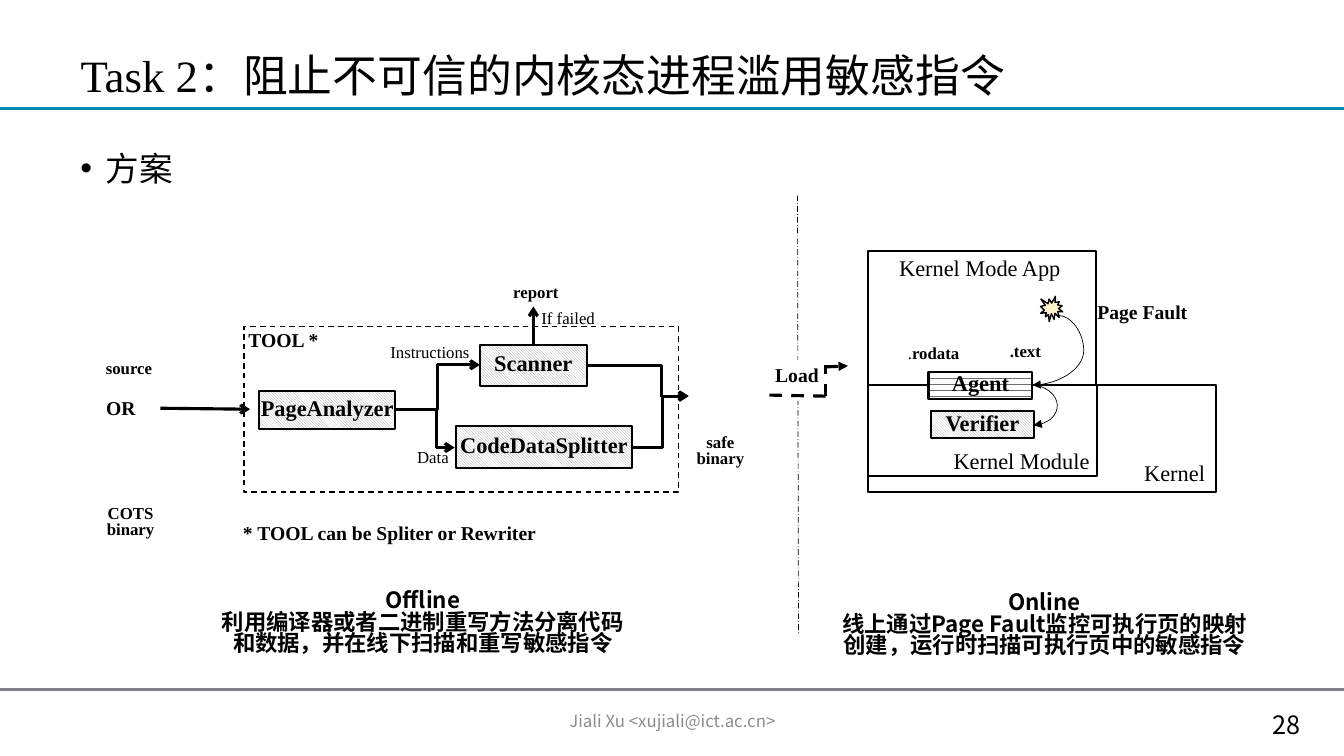
from lxml import etree
from pptx import Presentation
from pptx.dml.color import RGBColor
from pptx.enum.dml import MSO_LINE, MSO_PATTERN
from pptx.enum.shapes import MSO_CONNECTOR, MSO_SHAPE
from pptx.enum.text import MSO_ANCHOR, PP_ALIGN
from pptx.oxml.ns import qn
from pptx.util import Inches, Pt

LEFT, CENTER = PP_ALIGN.LEFT, PP_ALIGN.CENTER
TOP, MIDDLE = MSO_ANCHOR.TOP, MSO_ANCHOR.MIDDLE
STRAIGHT, ELBOW, CURVE = MSO_CONNECTOR.STRAIGHT, MSO_CONNECTOR.ELBOW, MSO_CONNECTOR.CURVE
DASH, DASH_DOT = MSO_LINE.DASH, MSO_LINE.LONG_DASH_DOT
DIAGONAL, DASHES = MSO_PATTERN.LIGHT_DOWNWARD_DIAGONAL, MSO_PATTERN.DASHED_HORIZONTAL
RECTANGLE, BURST = MSO_SHAPE.RECTANGLE, MSO_SHAPE.EXPLOSION1
SERIF, SANS = "Times New Roman", "Noto Sans CJK SC"
BLACK, WHITE = "000000", "FFFFFF"
rgb = RGBColor.from_string

prs = Presentation()
prs.slide_width, prs.slide_height = Inches(13.33), Inches(7.5)
slide = prs.slides.add_slide(prs.slide_layouts[6])
shapes = slide.shapes


def write(shape, text, size=12, bold=False, font=SERIF, color=BLACK, align=CENTER,
          anchor=TOP, spacing=0.8, wrap=True, bullet=None, lead=""):
    """Fill a shape with text, one paragraph a line; lead is an unbolded start."""
    frame = shape.text_frame
    frame.word_wrap, frame.vertical_anchor = wrap, anchor
    for i, line in enumerate(text.split("\n")):
        paragraph = frame.add_paragraph() if i else frame.paragraphs[0]
        paragraph.alignment, paragraph.line_spacing = align, spacing
        if bullet:
            pPr = paragraph._p.get_or_add_pPr()
            pPr.set("marL", str(Inches(0.25)))
            pPr.set("indent", str(-Inches(0.25)))
            etree.SubElement(pPr, qn("a:buFont"), typeface="Arial")
            etree.SubElement(pPr, qn("a:buChar"), char=bullet)
        for part, heavy in ((lead, False), (line, bold)):
            if part:
                run = paragraph.add_run()
                run.text = part
                run.font.size, run.font.bold, run.font.name = Pt(size), heavy, font
                run.font.color.rgb = rgb(color)
                etree.SubElement(run._r.get_or_add_rPr(), qn("a:ea"), typeface=SANS)


def link(kind, start, end, color=BLACK, width=2.25, dash=None, head=None, bend=None):
    """Draw a line or connector; bend is the turn as a share of its width."""
    connector = shapes.add_connector(kind, *map(Inches, start + end))
    connector.line.color.rgb, connector.line.width = rgb(color), Pt(width)
    if dash:
        connector.line.dash_style = dash
    spPr = connector._element.spPr
    if head:
        etree.SubElement(spPr.find(qn("a:ln")), qn("a:tailEnd"), type=head)
    if bend is not None:
        guides = spPr.find(qn("a:prstGeom")).get_or_add_avLst()
        etree.SubElement(guides, qn("a:gd"), name="adj1", fmla=f"val {round(bend * 100000)}")
    etree.SubElement(spPr, qn("a:effectLst"))
    return connector


# Page rules and the divider between the offline and online halves
link(STRAIGHT, (0, 6.84), (13.33, 6.84), color="808184")
link(STRAIGHT, (0, 1.08), (13.33, 1.08), color="008FB2")
link(STRAIGHT, (7.91, 1.94), (7.92, 6.3), width=0.5, dash=DASH_DOT)

# Frames: box, fill, line colour, line width, dash
frames = [
    ((2.42, 3.24, 4.31, 1.64), None, BLACK, 1, DASH),     # tool
    ((8.61, 3.82, 3.45, 1.06), WHITE, BLACK, 1.5, None),  # kernel
    ((8.61, 3.82, 2.27, 0.9), None, BLACK, 1.5, None),    # kernel module
    ((8.61, 2.49, 2.26, 1.33), WHITE, BLACK, 1.5, None),  # kernel mode app
    ((7.55, 3.62, 0.72, 0.35), WHITE, WHITE, 0.75, None),  # gap in the divider
    ((7.59, 3.58, 0.66, 0.31), WHITE, WHITE, 0.75, None),  # load
]
for box, fill, outline, width, dash in frames:
    frame = shapes.add_shape(RECTANGLE, *map(Inches, box))
    frame.shadow.inherit = False
    if fill:
        frame.fill.solid()
        frame.fill.fore_color.rgb = rgb(fill)
    else:
        frame.fill.background()
    frame.line.color.rgb, frame.line.width = rgb(outline), Pt(width)
    if dash:
        frame.line.dash_style = dash
write(frame, "Load", size=14, bold=True, align=LEFT, spacing=0.9)

# Components
components = {
    "PageAnalyzer": (2.57, 3.88, 1.35, 0.38),
    "Scanner": (4.76, 3.42, 1.06, 0.41),
    "CodeDataSplitter": (4.52, 4.23, 1.75, 0.41),
    "Verifier": (9.23, 4.08, 1.03, 0.27),
    "Agent": (9.21, 3.69, 1.03, 0.27),
}
nodes = {}
for name, box in components.items():
    node = nodes[name] = shapes.add_shape(RECTANGLE, *map(Inches, box))
    node.shadow.inherit = False
    node.fill.patterned()
    node.fill.pattern = DASHES if name == "Agent" else DIAGONAL
    node.fill.fore_color.rgb = rgb("6E6E6E" if name == "Agent" else "9E9E9E")
    node.fill.back_color.rgb = rgb(WHITE)
    node.line.color.rgb, node.line.width = rgb(BLACK), Pt(1.5)
    inside = node.text_frame
    inside.margin_left = inside.margin_right = inside.margin_top = inside.margin_bottom = 0
    write(node, name, size=16, bold=True, anchor=MIDDLE)

# Flow through the tool
link(STRAIGHT, (1.59, 4.05), (2.48, 4.06), head="arrow")
for start, end, bend in [
    ((3.92, 4.06), (4.76, 3.62), 0.5),
    ((3.91, 4.06), (4.51, 4.44), 0.7),
    ((6.28, 4.44), (6.83, 3.93), 0.53),
    ((5.81, 3.63), (6.83, 3.93), 0.74),
]:
    link(ELBOW, start, end, head="arrow", bend=bend)
report = link(STRAIGHT, (5.29, 3.42), (5.29, 3.04), head="arrow")
report.begin_connect(nodes["Scanner"], 0)

# Loading step
link(STRAIGHT, (7.63, 3.92), (8.19, 3.93), dash=DASH)
link(STRAIGHT, (8.19, 3.93), (8.19, 3.62), dash=DASH)
link(STRAIGHT, (8.19, 3.64), (8.41, 3.63), dash=DASH, head="triangle")

# Page fault path
link(CURVE, (10.5, 3.13), (10.24, 3.82), width=0.5, head="triangle", bend=-0.96)
link(CURVE, (10.24, 3.82), (10.25, 4.22), width=0.5, head="triangle", bend=25)
fault = shapes.add_shape(BURST, *map(Inches, (10.32, 2.94, 0.22, 0.25)))
fault.shadow.inherit = False
fault.fill.solid()
fault.fill.fore_color.rgb = rgb("FFF3CD")
fault.line.color.rgb, fault.line.width = rgb(BLACK), Pt(1)

# Text: box, words, format
note = dict(size=14, bold=True)
place = dict(size=16, align=LEFT, spacing=0.9)
caption = dict(size=16, bold=True, font=SANS)
labels = [
    ((0.7, 0.15, 11.05, 0.91), "Task 2：阻止不可信的内核态进程滥用敏感指令",
     dict(size=32, align=LEFT, anchor=MIDDLE, spacing=1.5)),
    ((0.7, 1.46, 12.13, 5.13), "方案", dict(size=24, align=LEFT, spacing=0.9, bullet="•")),
    ((12.52, 6.99, 0.55, 0.4), "28", dict(size=18, font=SANS, align=LEFT, spacing=1.0)),
    ((4.42, 6.95, 4.5, 0.4), "Jiali Xu <xujiali@ict.ac.cn>",
     dict(font=SANS, color="8C8C8C", anchor=MIDDLE, spacing=1.0)),
    ((3.35, 3.38, 1.83, 0.26), "Instructions", {}),
    ((3.38, 4.42, 1.83, 0.26), "Data", {}),
    ((4.72, 3.04, 1.83, 0.26), "If failed", {}),
    ((4.97, 2.78, 0.69, 0.26), "report", dict(bold=True)),
    ((0.65, 3.54, 1.26, 0.26), "source", dict(bold=True)),
    ((0.65, 4.98, 1.29, 0.42), "COTS\nbinary", dict(bold=True)),
    ((6.75, 4.27, 0.79, 0.42), "safe\nbinary", dict(bold=True)),
    ((8.89, 3.39, 0.74, 0.26), "rodata", dict(bold=True, lead=".")),
    ((9.8, 3.37, 0.74, 0.26), ".text", dict(bold=True)),
    ((10.04, 2.97, 2.58, 0.29), "Page Fault", note),
    ((1.52, 3.25, 2.58, 0.29), "TOOL *", note),
    ((2.21, 5.16, 3.31, 0.29), "* TOOL can be Spliter or Rewriter", note),
    ((0.57, 3.92, 1.26, 0.29), "OR", note),
    ((11.25, 4.54, 0.81, 0.34), "Kernel", dict(place, wrap=False)),
    ((9.36, 4.42, 1.95, 0.34), "Kernel Module", place),
    ((8.82, 2.5, 1.96, 0.74), "Kernel Mode App", place),
    ((2.05, 5.82, 4.29, 0.75),
     "Offline\n利用编译器或者二进制重写方法分离代码和数据，并在线下扫描和重写敏感指令", caption),
    ((8.2, 5.84, 4.32, 0.75),
     "Online\n线上通过Page Fault监控可执行页的映射创建，运行时扫描可执行页中的敏感指令", caption),
]
for box, words, style in labels:
    write(shapes.add_textbox(*map(Inches, box)), words, **style)

prs.save("out.pptx")
